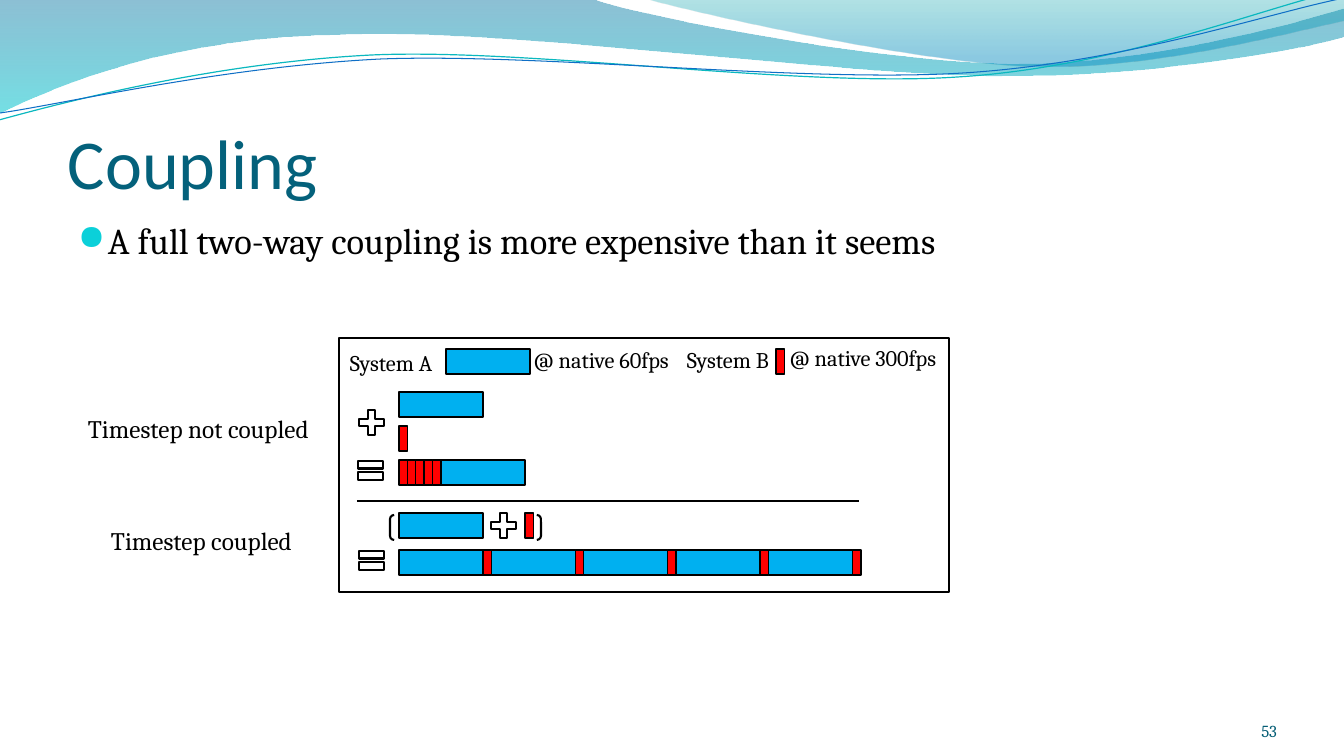
from lxml import etree
from pptx import Presentation
from pptx.dml.color import RGBColor
from pptx.enum.shapes import MSO_CONNECTOR, MSO_SHAPE
from pptx.enum.text import MSO_ANCHOR, PP_ALIGN
from pptx.oxml.ns import qn
from pptx.util import Pt

PX = 914400 / 100.8
RECT, BRACKETS = MSO_SHAPE.RECTANGLE, MSO_SHAPE.DOUBLE_BRACKET
PLUS, EQUALS = MSO_SHAPE.MATH_PLUS, MSO_SHAPE.MATH_EQUAL
TOP, BOTTOM = MSO_ANCHOR.TOP, MSO_ANCHOR.BOTTOM
LEFT, RIGHT = PP_ALIGN.LEFT, PP_ALIGN.RIGHT

COLORS = {
    "black": "000000", "title": "04617B", "number": "045D75", "bullet": "0BD0D9",
    "A": "00B0F0", "B": "FF0000", "teal line": "0AB8BF", "blue line": "0F6FC6",
    "band top": "0074A1", "band bottom": "00C6CF",
    "sweep top": "00A1A9", "sweep bottom": "008BBF",
}

# Header waves: a one-point step is a line, a three-point step is a Bezier curve
FILLED_WAVES = [
    # gradient stops: position, colour, opacity %
    ([(0, "band top", 45), (1, "band bottom", 55)], (0, 0), [
        [(592, -1)],
        [(639, 17), (892, 64), (1019, 64)], [(1147, 64), (1288, 26), (1344, 9)],
        [(1346, 37)],
        [(1322, 45), (1169, 77), (1002, 76)], [(836, 76), (513, 29), (346, 35)],
        [(173, 37), (61, 84), (-1, 114)]]),
    ([(0, "sweep top", 30), (0.8, "sweep bottom", 45)], (644, -1), [
        [(684, 11), (916, 63), (1033, 66)], [(1150, 70), (1291, 32), (1344, 21)],
        [(1344, 0)]]),
]
LINE_WAVES = [
    ("teal line", 0.85, (-1, 120), [
        [(65, 102), (213, 63), (372, 55)], [(531, 48), (796, 88), (958, 77)],
        [(1119, 67), (1262, 8), (1342, -10)]]),
    ("blue line", 0.75, (0, 113), [
        [(64, 104), (220, 67), (381, 59)], [(541, 53), (802, 83), (963, 73)],
        [(1124, 63), (1265, 14), (1344, -2)]]),
]

TITLE = "Coupling"
STATEMENT = "A full two-way coupling is more expensive than it seems"
PAGE_NUMBER = "53"
# Labels: text, left, top, width, height, size
ROW_LABELS = [
    ("Timestep not coupled", 78, 408, 298, 40, 18),
    ("Timestep coupled", 101, 520, 253, 40, 18),
]
LEGEND_LABELS = [
    ("System B", 677, 341, 116, 37, 16),
    ("System A", 340, 344, 118, 37, 16),
    ("@ native 60fps", 524, 341, 194, 37, 16),
    ("@ native 300fps", 780, 339, 177, 37, 16),
]

# Timing bars: each letter is one step of that system
FRAME = (339, 338, 610, 254)
BAR_LEFT, BAR_HEIGHT = 399, 25
STEP_WIDTH = {"A": 84, "B": 84 / 10}
BAR_ROWS = [  # left, top, steps
    (BAR_LEFT, 392, "A"), (BAR_LEFT, 426, "B"), (BAR_LEFT, 460, "B" * 5 + "A"),
    (BAR_LEFT, 513, "A"), (525, 513, "B"), (BAR_LEFT, 550, "AB" * 5),
    (446, 349, "A"), (776, 349, "B"),
]
SIGN = 33
SYMBOLS = [
    (PLUS, 487, 509, SIGN, SIGN), (EQUALS, 354, 454, SIGN, SIGN),
    (BRACKETS, 390, 515, 151, 25),
    (EQUALS, 355, 544, SIGN, SIGN), (PLUS, 355, 406, SIGN, SIGN),
]
DIVIDER = (357, 501, 859, 501)


def emu(*lengths):
    return [round(length * PX) for length in lengths]


def color(name):
    return RGBColor.from_string(COLORS[name])


def add_wave(start, steps, close):
    """Outline through all points, then join each three-point step into a curve."""
    points = [emu(*point) for step in steps for point in step]
    builder = page.shapes.build_freeform(*emu(*start), scale=1.0)
    builder.add_line_segments(points, close=close)
    wave = builder.convert_to_shape()
    wave.shadow.inherit = False
    lines = list(wave._element.iter(qn("a:lnTo")))
    for step in steps:
        parts, lines = lines[:len(step)], lines[len(step):]
        if len(step) == 3:
            curve = etree.Element(qn("a:cubicBezTo"))
            parts[0].addprevious(curve)
            for part in parts:
                curve.append(part[0])
                part.getparent().remove(part)
    return wave


def add_figure(kind, left, top, width, height, fill=None, weight=1.5):
    figure = page.shapes.add_shape(kind, *emu(left, top, width, height))
    figure.shadow.inherit = False
    if fill:
        figure.fill.solid()
        figure.fill.fore_color.rgb = color(fill)
    else:
        figure.fill.background()
    figure.line.color.rgb = color("black")
    figure.line.width = Pt(weight)


def add_text(text, left, top, width, height, size, font="Cambria", ink="black",
             anchor=TOP, align=LEFT, insets=(10, 5, 10, 5), bullet=False):
    box = page.shapes.add_textbox(*emu(left, top, width, height))
    frame = box.text_frame
    frame.word_wrap = True
    frame.vertical_anchor = anchor
    (frame.margin_left, frame.margin_top,
     frame.margin_right, frame.margin_bottom) = emu(*insets)
    frame.text = text
    para = frame.paragraphs[0]
    para.alignment = align
    if bullet:
        add_bullet(para)
    span = para.runs[0].font
    span.name, span.size, span.color.rgb = font, Pt(size), color(ink)


def add_bullet(para):
    props = para._p.get_or_add_pPr()
    indent = emu(30)[0]
    props.set("marL", str(indent))
    props.set("indent", str(-indent))
    tint = etree.SubElement(props, qn("a:buClr"))
    etree.SubElement(tint, qn("a:srgbClr"), val=COLORS["bullet"])
    etree.SubElement(props, qn("a:buSzPct"), val="95000")
    etree.SubElement(props, qn("a:buFont"), typeface="OpenSymbol")
    etree.SubElement(props, qn("a:buChar"), char="●")


deck = Presentation()
deck.slide_width, deck.slide_height = emu(1344, 756)
page = deck.slides.add_slide(deck.slide_layouts[6])

# Header waves
for stops, start, steps in FILLED_WAVES:
    wave = add_wave(start, steps, close=True)
    wave.line.fill.background()
    wave.fill.gradient()
    wave.fill.gradient_angle = 270
    for stop, (position, name, opacity) in zip(wave.fill.gradient_stops, stops):
        stop.position = position
        stop.color.rgb = color(name)
        tint = stop._gs.find(qn("a:srgbClr"))
        etree.SubElement(tint, qn("a:alpha"), val=str(opacity * 1000))
for name, weight, start, steps in LINE_WAVES:
    wave = add_wave(start, steps, close=False)
    wave.fill.background()
    wave.line.color.rgb = color(name)
    wave.line.width = Pt(weight)

# Title, statement and row labels
add_text(TITLE, 68, 78, 1210, 126, 50, "Calibri", "title", BOTTOM, insets=(0, 5, 0, 0))
add_text(STATEMENT, 68, 213, 1210, 484, 26, bullet=True)
for label in ROW_LABELS:
    add_text(*label)

# Timing diagram
add_figure(RECT, *FRAME)
for left, top, steps in BAR_ROWS:
    for system in steps:
        add_figure(RECT, left, top, STEP_WIDTH[system], BAR_HEIGHT, system, 1)
        left += STEP_WIDTH[system]
for symbol in SYMBOLS:
    add_figure(*symbol)
divider = page.shapes.add_connector(MSO_CONNECTOR.STRAIGHT, *emu(*DIVIDER))
divider.line.color.rgb = color("black")
divider.line.width = Pt(1.25)
etree.SubElement(divider._element.spPr, qn("a:effectLst"))

# Legend and page number
for label in LEGEND_LABELS:
    add_text(*label)
add_text(PAGE_NUMBER, 1165, 701, 112, 40, 12, ink="number", anchor=BOTTOM,
         align=RIGHT, insets=(0, 0, 0, 0))

deck.save("out.pptx")
